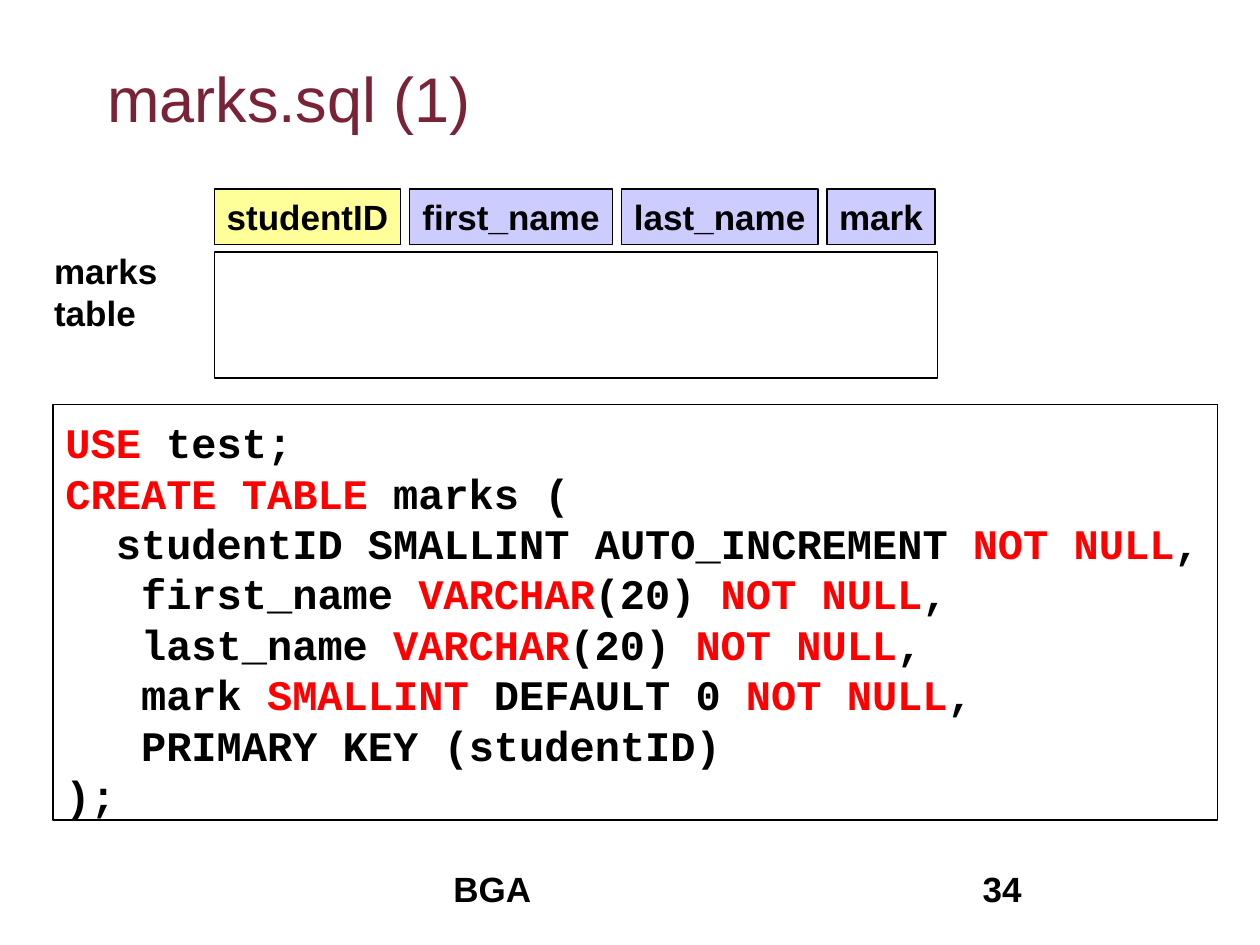
from dataclasses import dataclass

from pptx import Presentation
from pptx.dml.color import RGBColor
from pptx.enum.shapes import MSO_SHAPE
from pptx.enum.text import MSO_ANCHOR, PP_ALIGN
from pptx.util import Cm, Pt

RECT = MSO_SHAPE.RECTANGLE
TOP, MIDDLE = MSO_ANCHOR.TOP, MSO_ANCHOR.MIDDLE
LEFT, CENTER = PP_ALIGN.LEFT, PP_ALIGN.CENTER


@dataclass(frozen=True)
class Theme:
    title: RGBColor = RGBColor(0x78, 0x23, 0x36)
    ink: RGBColor = RGBColor(0, 0, 0)
    keyword: RGBColor = RGBColor(0xFF, 0, 0)
    key_column: RGBColor = RGBColor(0xFF, 0xFF, 0x99)
    column: RGBColor = RGBColor(0xCC, 0xCC, 0xFF)
    sans: str = "Arial"
    mono: str = "Courier New"
    title_size: int = 36
    label_size: int = 20
    code_size: int = 24
    leading: float = 1.2
    line_width: float = 0.75


THEME = Theme()

# Column name and width in cm
COLUMNS = [("studentID", 3.76), ("first_name", 4.09), ("last_name", 3.96), ("mark", 2.18)]

# Keywords stand between bars
CODE = """|USE| test;
|CREATE TABLE| marks (
  studentID SMALLINT AUTO_INCREMENT| NOT NULL|,
   first_name |VARCHAR|(20) |NOT NULL|,
   last_name |VARCHAR|(20) |NOT NULL|,
   mark |SMALLINT| DEFAULT 0 |NOT NULL|,
   PRIMARY KEY (studentID)
);"""


def style_paragraph(p, size, name=THEME.sans, bold=True, color=THEME.ink, align=LEFT):
    p.alignment = align
    p.line_spacing = Pt(size * THEME.leading)
    font = p.font
    font.size, font.name, font.bold = Pt(size), name, bold
    font.color.rgb = color


def set_frame(tf, anchor=TOP, wrap=True, top=0.13):
    tf.word_wrap = wrap
    tf.vertical_anchor = anchor
    tf.margin_left = tf.margin_right = Cm(0.25)
    tf.margin_top, tf.margin_bottom = Cm(top), Cm(0.13)


def add_label(s, text, x, y, w, h, size=THEME.label_size, wrap=True, **style):
    tf = s.shapes.add_textbox(Cm(x), Cm(y), Cm(w), Cm(h)).text_frame
    set_frame(tf, wrap=wrap)
    p = tf.paragraphs[0]
    p.text = text
    style_paragraph(p, size, **style)


def add_box(s, x, y, w, h, fill=None):
    sp = s.shapes.add_shape(RECT, Cm(x), Cm(y), Cm(w), Cm(h))
    sp.shadow.inherit = False
    if fill is None:
        sp.fill.background()
    else:
        sp.fill.solid()
        sp.fill.fore_color.rgb = fill
    sp.line.color.rgb = THEME.ink
    sp.line.width = Pt(THEME.line_width)
    return sp


def add_columns(s, x, y, h, gap):
    for i, (name, w) in enumerate(COLUMNS):
        fill = THEME.column if i else THEME.key_column
        tf = add_box(s, x, y, w, h, fill).text_frame
        set_frame(tf, MIDDLE, wrap=False)
        p = tf.paragraphs[0]
        p.text = name
        style_paragraph(p, THEME.label_size, align=CENTER)
        x += w + gap


def add_code(s, x, y, w, h):
    tf = add_box(s, x, y, w, h).text_frame
    set_frame(tf, top=0.25)
    p = tf.paragraphs[0]
    style_paragraph(p, THEME.code_size, THEME.mono)
    for i, line in enumerate(CODE.splitlines()):
        if i:
            p.add_line_break()
        for j, part in enumerate(line.split("|")):
            if part:
                r = p.add_run()
                r.text = part
                r.font.color.rgb = THEME.keyword if j % 2 else THEME.ink


def main():
    prs = Presentation()
    prs.slide_width, prs.slide_height = Cm(25.4), Cm(19.05)
    s = prs.slides.add_slide(prs.slide_layouts[6])

    # Title
    add_label(s, "marks.sql (1)", 1.91, 1.07, 21.59, 3.18,
              size=THEME.title_size, bold=False, color=THEME.title)

    # Table sketch
    add_label(s, "marks\vtable", 0.84, 4.9, 2.59, 1.96, wrap=False)
    add_columns(s, 4.32, 3.81, 1.12, gap=0.18)
    add_box(s, 4.32, 5.08, 14.58, 2.54)

    # SQL script
    add_code(s, 1.07, 8.15, 23.47, 8.38)

    # Footer
    add_label(s, "BGA", 8.89, 17.35, 8.05, 1.27)
    add_label(s, "34", 19.56, 17.35, 5.28, 1.27)

    prs.save("out.pptx")


if __name__ == "__main__":
    main()
